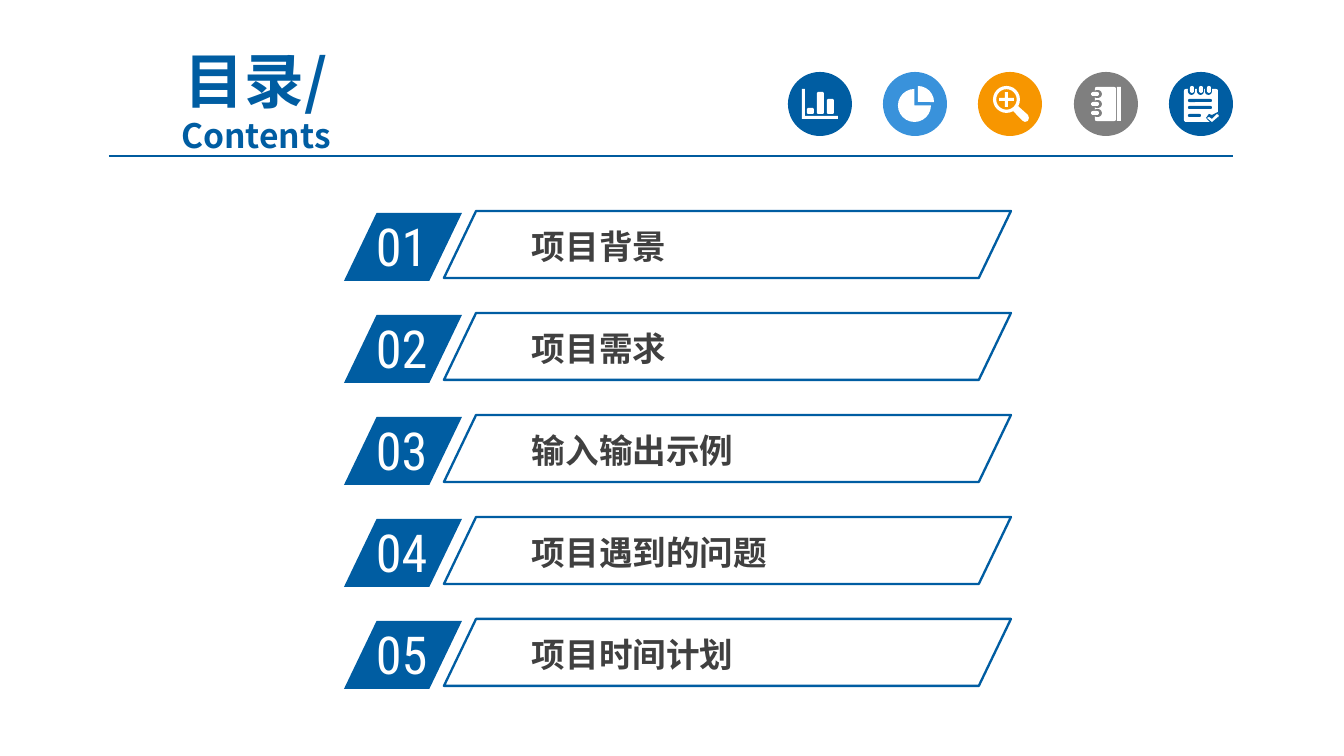
from lxml.etree import SubElement
from pptx import Presentation
from pptx.dml.color import RGBColor
from pptx.enum.shapes import MSO_CONNECTOR, MSO_SHAPE
from pptx.enum.text import MSO_ANCHOR, PP_ALIGN
from pptx.oxml.ns import qn
from pptx.util import Pt

SCALE = 9144000 / 1344
BLUE, SKY, AMBER, GRAY = "005DA2", "3992DB", "F79600", "7F7F7F"
WHITE, DARK = "FFFFFF", "404040"
SANS, SLIM = "Noto Sans CJK SC", "Roboto Condensed"
OVAL, RECT, ROUND = MSO_SHAPE.OVAL, MSO_SHAPE.RECTANGLE, MSO_SHAPE.ROUNDED_RECTANGLE
PIE, RING, CROSS = MSO_SHAPE.PIE, MSO_SHAPE.DONUT, MSO_SHAPE.CROSS


def px(n):
    return round(n * SCALE)


def paint(fmt, color):
    fmt.solid()
    fmt.fore_color.rgb = RGBColor.from_string(color)


def shape(slide, kind, x, y, w, h, fill=None, line=None, adj=()):
    item = slide.shapes.add_shape(kind, px(x), px(y), px(w), px(h))
    item.shadow.inherit = False
    if fill:
        paint(item.fill, fill)
    else:
        item.fill.background()
    if line:
        paint(item.line.fill, line)
        item.line.width = Pt(1.25)
    else:
        item.line.fill.background()
    for i, value in enumerate(adj):
        item.adjustments[i] = value
    return item


def outline(slide, x, y, fill, *loops):
    loops = [[(px(x + a), px(y + b)) for a, b in loop] for loop in loops]
    path = slide.shapes.build_freeform(*loops[0][0])
    path.add_line_segments(loops[0][1:])
    for loop in loops[1:]:
        path.move_to(*loop[0])
        path.add_line_segments(loop[1:])
    item = path.convert_to_shape()
    item.shadow.inherit = False
    paint(item.fill, fill)
    item.line.fill.background()


def text(slide, x, y, w, h, lines, face, color, bold=False, inset=(13, 7)):
    frame = slide.shapes.add_textbox(px(x), px(y), px(w), px(h)).text_frame
    frame.word_wrap = True
    frame.margin_left = frame.margin_right = px(inset[0])
    frame.margin_top = frame.margin_bottom = px(inset[1])
    frame.text = "\n".join(words for words, size in lines)
    for para, (words, size) in zip(frame.paragraphs, lines):
        font = para.font
        font.name, font.size, font.bold = face, Pt(size), bold
        paint(font.fill, color)
        SubElement(para._p.pPr.find(qn("a:defRPr")), qn("a:ea"), typeface=face)
    return frame


def header(slide, x, y, w):
    lines = [("目录/", 32), ("Contents", 18)]
    frame = text(slide, x - 19, y, 332, 73, lines, SANS, BLUE, True)
    frame.vertical_anchor = MSO_ANCHOR.MIDDLE
    for para in frame.paragraphs:
        para.alignment = PP_ALIGN.CENTER
    base = px(y + 93)
    rule = slide.shapes.add_connector(MSO_CONNECTOR.STRAIGHT, px(x), base, px(x + w), base)
    paint(rule.line.fill, "005B9E")
    rule.line.width = Pt(0.75)
    SubElement(rule._element.spPr, qn("a:effectLst"))


def disc(slide, x, y, color, marks=()):
    shape(slide, OVAL, x, y, 64, 64, color)
    for kind, a, b, w, h, fill, *adj in marks:
        shape(slide, kind, x + a, y + b, w, h, fill, adj=adj)


def bars(slide, x, y):
    disc(slide, x, y, BLUE)
    loops = [[(14, 17), (17, 17), (17, 44), (50, 44), (50, 47), (14, 47)]]
    for a, top in ((19, 36), (29, 20), (39, 27)):
        loops.append([
            (a + 1, top), (a + 6, top), (a + 7, top + 1), (a + 7, 41),
            (a + 6, 42), (a + 1, 42), (a, 41), (a, top + 1),
        ])
    outline(slide, x, y, WHITE, *loops)


def pie(slide, x, y):
    disc(slide, x, y, SKY, [
        (PIE, 15, 17, 33, 33, WHITE, 0, 162),
        (PIE, 19, 14, 32, 32, WHITE, 162, 0),
    ])


def lens(slide, x, y):
    disc(slide, x, y, AMBER, [
        (RING, 15, 14, 27, 27, WHITE, 0.12),
        (CROSS, 21, 20, 15, 15, WHITE, 0.4),
    ])
    grip = [(40, 34), (50, 43), (51, 46), (50, 49), (47, 50), (45, 49), (35, 39)]
    outline(slide, x, y, WHITE, grip)


def book(slide, x, y):
    marks = [(ROUND, 21, 15, 21, 34, WHITE, 0.08), (RECT, 43, 15, 4, 34, WHITE)]
    for top in (18, 28, 37):
        marks.append((ROUND, 19, top, 9, 8, GRAY, 0.5))
        marks.append((ROUND, 17, top + 2, 8, 4, WHITE, 0.5))
    disc(slide, x, y, GRAY, marks)


def notes(slide, x, y):
    marks = [(ROUND, 15, 17, 34, 33, WHITE, 0.06)]
    for a in (19, 28, 36):
        marks.append((ROUND, a, 14, 7, 9, BLUE, 0.5))
        marks.append((ROUND, a + 2, 14, 4, 7, WHITE, 0.5))
    for top, w in ((27, 24), (34, 24), (42, 13)):
        marks.append((ROUND, 19, top, w, 3, BLUE, 0.5))
    disc(slide, x, y, BLUE, marks)
    outline(slide, x, y, BLUE, [(49, 40), (43, 43), (40, 42), (37, 46), (42, 51), (50, 51)])
    outline(slide, x, y, WHITE, [(38, 46), (40, 45), (43, 47), (48, 42), (50, 44), (43, 50)])


def icons(slide, x, y):
    for i, draw in enumerate((bars, pie, lens, book, notes)):
        draw(slide, x + round(95.25 * i), y)


def entry(slide, x, y, num, label):
    slant = MSO_SHAPE.PARALLELOGRAM
    shape(slide, slant, x, y + 2, 118, 68, BLUE, adj=[0.48])
    text(slide, x + 19, y - 4, 113, 66, [(num, 28)], SLIM, WHITE)
    text(slide, x + 178, y + 10, 415, 51, [(label, 18)], SANS, DARK, True, (10, 5))
    shape(slide, slant, x + 100, y, 567, 67, line=BLUE, adj=[0.48])


def agenda(slide, x, y, labels):
    for i, label in enumerate(labels):
        entry(slide, x, y + 102 * i, f"{i + 1:02}", label)


def main():
    deck = Presentation()
    deck.slide_width, deck.slide_height = px(1344), px(756)
    slide = deck.slides.add_slide(deck.slide_layouts[6])
    header(slide, 109, 63, 1124)
    agenda(slide, 344, 211, ["项目背景", "项目需求", "输入输出示例", "项目遇到的问题", "项目时间计划"])
    icons(slide, 788, 72)
    deck.save("out.pptx")


if __name__ == "__main__":
    main()
